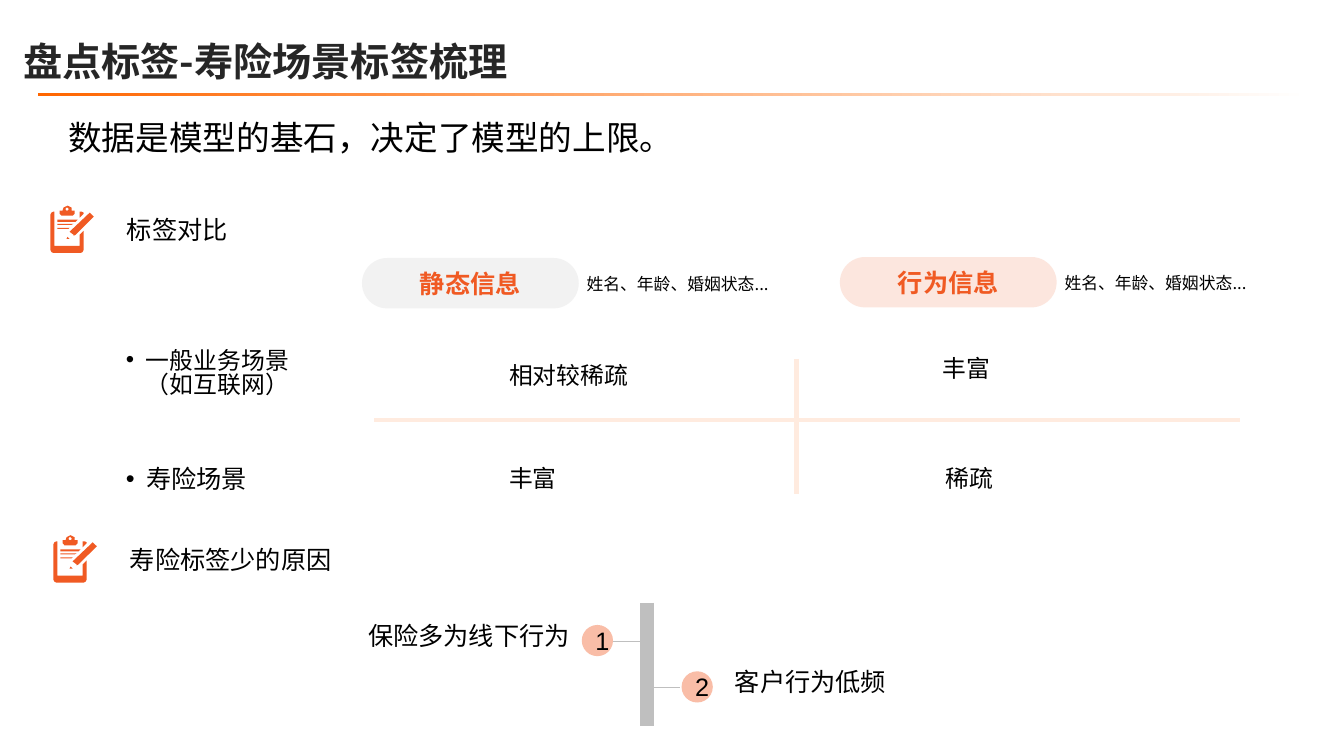
from dataclasses import dataclass

from lxml import etree
from pptx import Presentation
from pptx import util as u
from pptx.dml.color import RGBColor
from pptx.enum import shapes, text
from pptx.oxml import ns


@dataclass(frozen=True)
class Theme:
    latin: str = "Arial"
    chinese: str = "Noto Sans CJK SC"
    black: str = "000000"
    title: str = "262626"
    accent: str = "F05A23"
    grey: str = "F2F2F2"
    axis: str = "FFEBDF"
    spine: str = "BFBFBF"
    dot: str = "F9BDA7"
    rule: tuple = ((0, "FFFFFF"), (50, "FFB380"), (75, "FF8D40"), (100, "FF6600"))
    title_size: float = 28
    lead_size: float = 24
    heading_size: float = 18
    cell_size: float = 17
    caption_size: float = 12


THEME = Theme()

# Clipboard outlines in hundredths of an inch; each part is a list of contours.
CLIPBOARD = [
    [[(17, 2), (16, 2), (15, 3), (15, 4), (16, 5), (17, 5), (18, 4), (18, 3)],
     [(17, 0), (19, 1), (21, 2), (21, 5), (24, 5), (24, 8), (23, 9), (22, 10),
      (11, 10), (10, 9), (9, 8), (9, 5), (12, 5), (13, 2), (15, 1)]],
    [[(29, 6), (31, 6), (33, 7), (33, 8), (29, 12)]],
    [[(3, 6), (4, 6), (4, 40), (29, 40), (29, 29), (33, 25), (33, 44), (32, 46),
      (30, 47), (3, 47), (1, 46), (0, 44), (0, 9), (1, 7)]],
    [[(39, 7), (40, 8), (43, 11), (42, 12), (25, 29), (23, 30), (23, 29), (19, 26)]],
    [[(17, 31), (19, 33), (16, 33)]],
    [[(7, 22), (19, 22), (18, 23), (7, 23)]],
    [[(7, 18), (23, 18), (21, 19), (7, 19)]],
    [[(7, 14), (27, 14), (25, 16), (7, 16)]],
]


def add_xml(parent, tag, **attributes):
    return etree.SubElement(parent, ns.qn(tag), attributes)


def write_text(shape, content, size, color=THEME.black, font=THEME.latin, bold=False,
               align=text.PP_ALIGN.LEFT, anchor=text.MSO_ANCHOR.TOP, spacing=0.9,
               indent=0.0, bullet=False):
    frame = shape.text_frame
    frame.word_wrap = True
    frame.auto_size = text.MSO_AUTO_SIZE.NONE
    frame.vertical_anchor = anchor
    paragraph = frame.paragraphs[0]
    paragraph.alignment = align
    paragraph.line_spacing = spacing
    properties = paragraph._p.get_or_add_pPr()
    if bullet:
        properties.set("marL", str(u.Inches(0.31)))
        properties.set("indent", str(u.Inches(-0.2)))
        add_xml(properties, "a:buFont", typeface=THEME.latin)
        add_xml(properties, "a:buChar", char="•")
    elif indent:
        properties.set("marL", str(u.Inches(indent)))
    run = paragraph.add_run()
    run.text = content
    run.font.size = u.Pt(size)
    run.font.bold = bold
    run.font.color.rgb = RGBColor.from_string(color)
    run.font.name = font
    add_xml(run._r.get_or_add_rPr(), "a:ea", typeface=THEME.chinese)


def add_text(slide, left, top, width, height, content, size, **style):
    box = slide.shapes.add_textbox(*map(u.Inches, (left, top, width, height)))
    write_text(box, content, size, **style)


def paint(shape, color):
    shape.shadow.inherit = False
    shape.fill.solid()
    shape.fill.fore_color.rgb = RGBColor.from_string(color)
    shape.line.fill.background()


def add_shape(slide, kind, left, top, width, height, color):
    shape = slide.shapes.add_shape(kind, *map(u.Inches, (left, top, width, height)))
    paint(shape, color)
    return shape


def add_line(slide, x1, y1, x2, y2, color, weight):
    line = slide.shapes.add_connector(
        shapes.MSO_CONNECTOR.STRAIGHT, *map(u.Inches, (x1, y1, x2, y2)))
    line.line.color.rgb = RGBColor.from_string(color)
    line.line.width = u.Pt(weight)
    add_xml(line._element.spPr, "a:effectLst")


def add_header(slide, left, top, width):
    rule = add_shape(slide, shapes.MSO_SHAPE.RECTANGLE, left + 0.25, top + 0.84,
                     width - 0.25, 0.03, THEME.accent)
    rule.fill.gradient()
    rule.fill.gradient_angle = 180
    stops = rule._element.spPr.find(ns.qn("a:gradFill")).find(ns.qn("a:gsLst"))
    for stop in list(stops):
        stops.remove(stop)
    for position, color in THEME.rule:
        stop = add_xml(stops, "a:gs", pos=str(position * 1000))
        add_xml(stop, "a:srgbClr", val=color)

    title = slide.shapes.title
    title.left, title.top, title.width, title.height = map(
        u.Inches, (left, top, width, 0.95))
    write_text(title, "盘点标签-寿险场景标签梳理", THEME.title_size, color=THEME.title,
               font=THEME.chinese, bold=True, anchor=text.MSO_ANCHOR.MIDDLE, spacing=1.2)
    add_text(slide, left + 0.33, top + 1.08, 8.41, 0.46,
             "数据是模型的基石，决定了模型的上限。", THEME.lead_size, indent=0.12)


def add_section_heading(slide, left, top, heading):
    """Place a clipboard icon with a heading to its right."""
    icon = slide.shapes.add_group_shape()
    for first, *others in CLIPBOARD:
        builder = icon.shapes.build_freeform(*first[0], scale=u.Inches(0.01))
        builder.add_line_segments(first[1:], close=True)
        for contour in others:
            builder.move_to(*contour[0])
            builder.add_line_segments(contour[1:], close=True)
        paint(builder.convert_to_shape(u.Inches(left), u.Inches(top)), THEME.accent)
    add_text(slide, left + 0.54, top + 0.07, 4.44, 0.4, heading,
             THEME.heading_size, indent=0.12)


def add_pill(slide, left, top, label, color, opacity=100):
    """Place a rounded column label with its examples beside it."""
    pill = add_shape(slide, shapes.MSO_SHAPE.ROUNDED_RECTANGLE,
                     left, top, 2.15, 0.5, color)
    pill.adjustments[0] = 0.5
    if opacity < 100:
        fill = pill._element.spPr.find(ns.qn("a:solidFill"))
        add_xml(fill[0], "a:alpha", val=str(opacity * 1000))
    write_text(pill, label, THEME.heading_size, color=THEME.accent, font=THEME.chinese,
               bold=True, align=text.PP_ALIGN.CENTER, anchor=text.MSO_ANCHOR.MIDDLE,
               spacing=1.0)
    add_text(slide, left + 2.13, top + 0.07, 2.1, 0.34, "姓名、年龄、婚姻状态...",
             THEME.caption_size, font=THEME.chinese, spacing=1.2)


def add_comparison(slide, left, top):
    add_pill(slide, left + 2.55, top + 0.01, "静态信息", THEME.grey)
    add_pill(slide, left + 7.29, top, "行为信息", THEME.accent, opacity=15)

    add_text(slide, left, top + 0.87, 2.37, 0.62, "一般业务场景（如互联网）",
             THEME.cell_size, bullet=True, spacing=0.85)
    add_text(slide, left, top + 2.03, 1.65, 0.38, "寿险场景",
             THEME.heading_size, bullet=True)

    add_line(slide, left + 2.67, top + 1.62, left + 11.26, top + 1.62, THEME.axis, 3)
    add_line(slide, left + 6.86, top + 1.01, left + 6.86, top + 2.35, THEME.axis, 3)
    cells = [(3.79, 1.01, "相对较稀疏"), (8.09, 0.94, "丰富"),
             (3.79, 2.03, "丰富"), (8.12, 2.03, "稀疏")]
    for x, y, content in cells:
        add_text(slide, left + x, top + y, 1.65, 0.38, content,
                 THEME.cell_size, indent=0.12)


def add_reasons(slide, left, top):
    """Place numbered reasons on alternate sides of a vertical spine."""
    add_line(slide, left + 3.63, top, left + 3.63, top + 1.22, THEME.spine, 10.25)
    reasons = [
        ("保险多为线下行为", 0, 2.98, (3.29, 3.56), text.PP_ALIGN.RIGHT),
        ("客户行为低频", 4.28, 3.97, (3.69, 3.95), text.PP_ALIGN.LEFT),
    ]
    for index, (reason, text_x, dot_x, (start, end), align) in enumerate(reasons):
        row = top + 0.16 + 0.46 * index
        add_text(slide, left + text_x, row, 2.96, 0.44, reason, THEME.heading_size,
                 align=align, indent=0.12)
        add_line(slide, left + start, row + 0.22, left + end, row + 0.22,
                 THEME.spine, 0.5)
        dot = add_shape(slide, shapes.MSO_SHAPE.OVAL, left + dot_x, row + 0.06,
                        0.31, 0.31, THEME.dot)
        write_text(dot, str(index + 1), THEME.heading_size, spacing=1.0,
                   align=text.PP_ALIGN.CENTER, anchor=text.MSO_ANCHOR.MIDDLE)
        dot.text_frame.word_wrap = False
        dot.text_frame.margin_left = u.Inches(0.1)
        dot.text_frame.margin_right = 0


def main():
    presentation = Presentation()
    presentation.slide_width = u.Inches(13.33)
    presentation.slide_height = u.Inches(7.5)
    slide = presentation.slides.add_slide(presentation.slide_layouts[5])
    add_header(slide, 0.13, 0.08, 12.85)
    add_section_heading(slide, 0.5, 2.04, "标签对比")
    add_comparison(slide, 1.04, 2.55)
    add_section_heading(slide, 0.53, 5.31, "寿险标签少的原因")
    add_reasons(slide, 2.79, 5.98)
    presentation.save("out.pptx")


if __name__ == "__main__":
    main()
